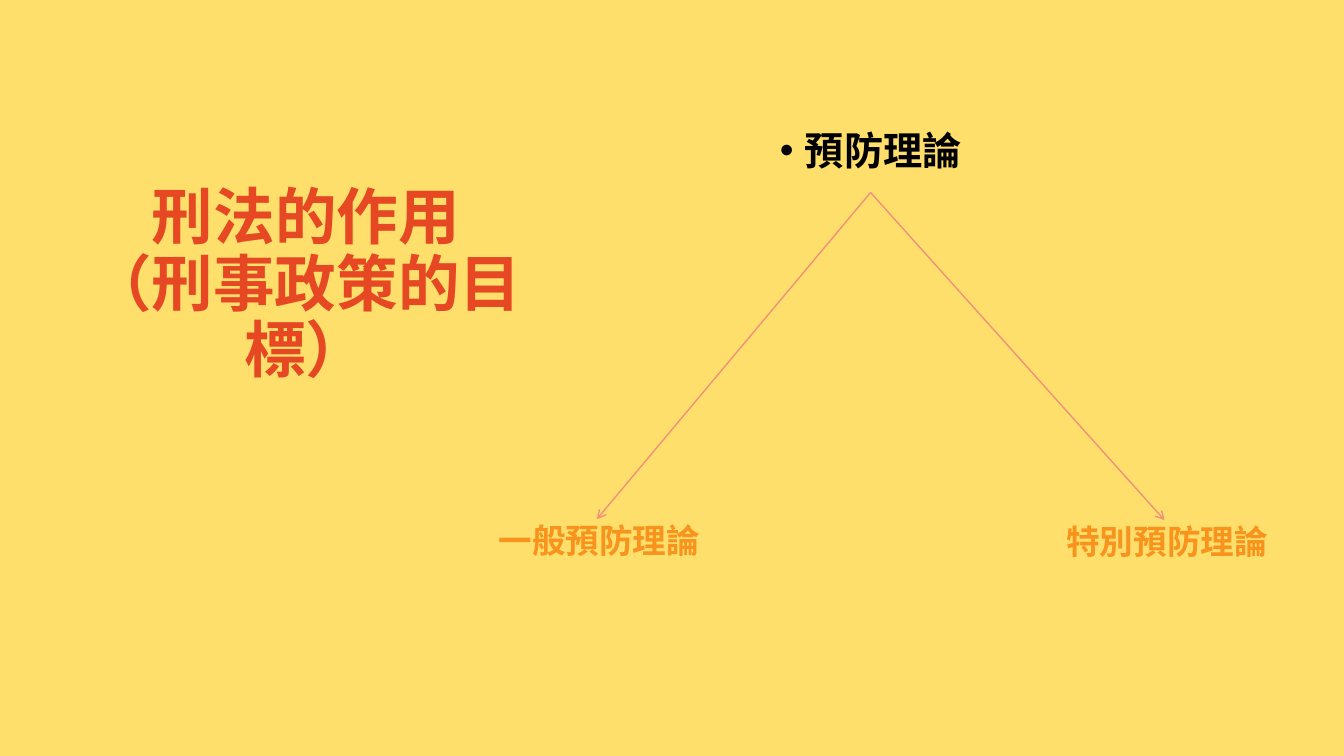
from lxml import etree
from pptx import Presentation
from pptx import util as u
from pptx.dml.color import RGBColor
from pptx.enum import shapes, text
from pptx.oxml.ns import qn

# Content: lines, box, size, colour, anchor, insets (left, top, right, bottom)
FONT = "Noto Sans CJK SC"
COLORS = {"bg": "FFDF6B", "title": "E64823", "theory": "000000",
          "branch": "F8931D", "arrow": "F0917B"}
TOP, MIDDLE, BOTTOM = (text.MSO_ANCHOR.TOP, text.MSO_ANCHOR.MIDDLE,
                       text.MSO_ANCHOR.BOTTOM)
TITLE = (["刑法的作用", "（刑事政策的目標）"], (0.45, 1.78, 5.17, 2.1),
         44, "title", BOTTOM, (0, 0.05, 0, 0.05))
THEORY = (["預防理論"], (5.29, 1.12, 6.69, 0.79),
          28, "theory", MIDDLE, (0.1, 0.05, 0.1, 0.05))
BRANCHES = [
    (["一般預防理論"], (3.98, 5.15, 3.88, 0.79),
     24, "branch", TOP, (0.05, 0.05, 0, 0.05)),
    (["特別預防理論"], (9.54, 5.16, 4.02, 1.29),
     24, "branch", TOP, (0.05, 0.05, 0, 0.05)),
]


def rgb(name):
    return RGBColor.from_string(COLORS[name])


def add_text(s, lines, box, size, color, anchor, insets, bullet=None):
    sp = s.shapes.add_textbox(*map(u.Inches, box))
    tf = sp.text_frame
    tf.word_wrap = True
    tf.vertical_anchor = anchor
    (tf.margin_left, tf.margin_top,
     tf.margin_right, tf.margin_bottom) = map(u.Inches, insets)
    p = tf.paragraphs[0]
    p.alignment = text.PP_ALIGN.CENTER
    p.line_spacing = 0.9
    if bullet:
        pPr = p._p.get_or_add_pPr()
        pPr.set("marL", str(u.Inches(0.25)))
        pPr.set("indent", str(u.Inches(-0.25)))
        etree.SubElement(pPr, qn("a:buFont"), typeface="Arial")
        etree.SubElement(pPr, qn("a:buChar"), char=bullet)
    for i, line in enumerate(lines):
        if i:
            p.add_line_break()
        r = p.add_run()
        r.text = line
        r.font.size = u.Pt(size)
        r.font.bold = True
        r.font.color.rgb = rgb(color)
        r.font.name = FONT
        etree.SubElement(r._r.get_or_add_rPr(), qn("a:ea"), typeface=FONT)
    return sp


def add_arrow(s, parent, child):
    c = s.shapes.add_connector(shapes.MSO_CONNECTOR.STRAIGHT, 0, 0, 0, 0)
    c.begin_connect(parent, 2)
    c.end_connect(child, 0)
    c.line.color.rgb = rgb("arrow")
    c.line.width = u.Pt(1)
    etree.SubElement(c.line._get_or_add_ln(), qn("a:tailEnd"), type="arrow")
    etree.SubElement(c._element.spPr, qn("a:effectLst"))


def main():
    prs = Presentation()
    prs.slide_width, prs.slide_height = u.Inches(13.33), u.Inches(7.5)
    s = prs.slides.add_slide(prs.slide_layouts[6])
    s.background.fill.solid()
    s.background.fill.fore_color.rgb = rgb("bg")

    # Title and tree of theories
    add_text(s, *TITLE)
    theory = add_text(s, *THEORY, bullet="•")
    branches = [add_text(s, *branch) for branch in BRANCHES]

    # Arrows from the theory to its branches
    for branch in branches:
        add_arrow(s, theory, branch)
    prs.save("out.pptx")


if __name__ == "__main__":
    main()
